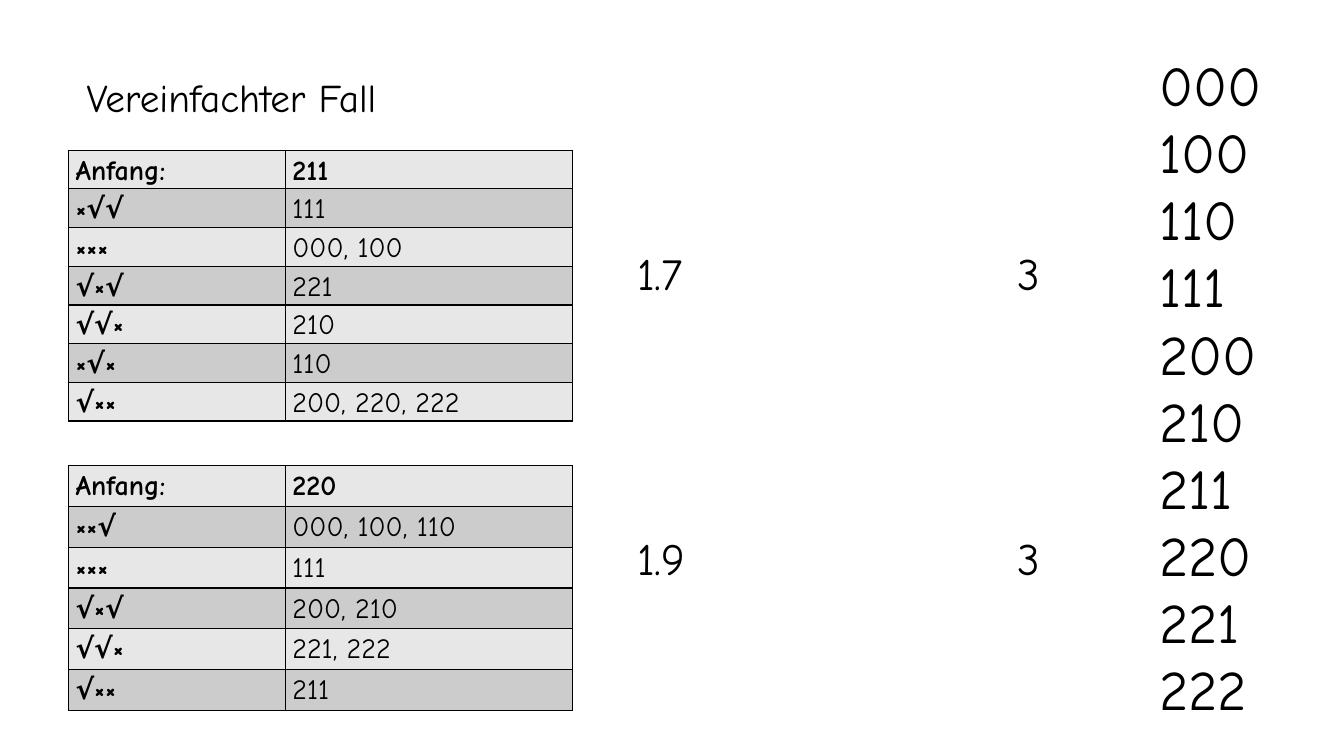
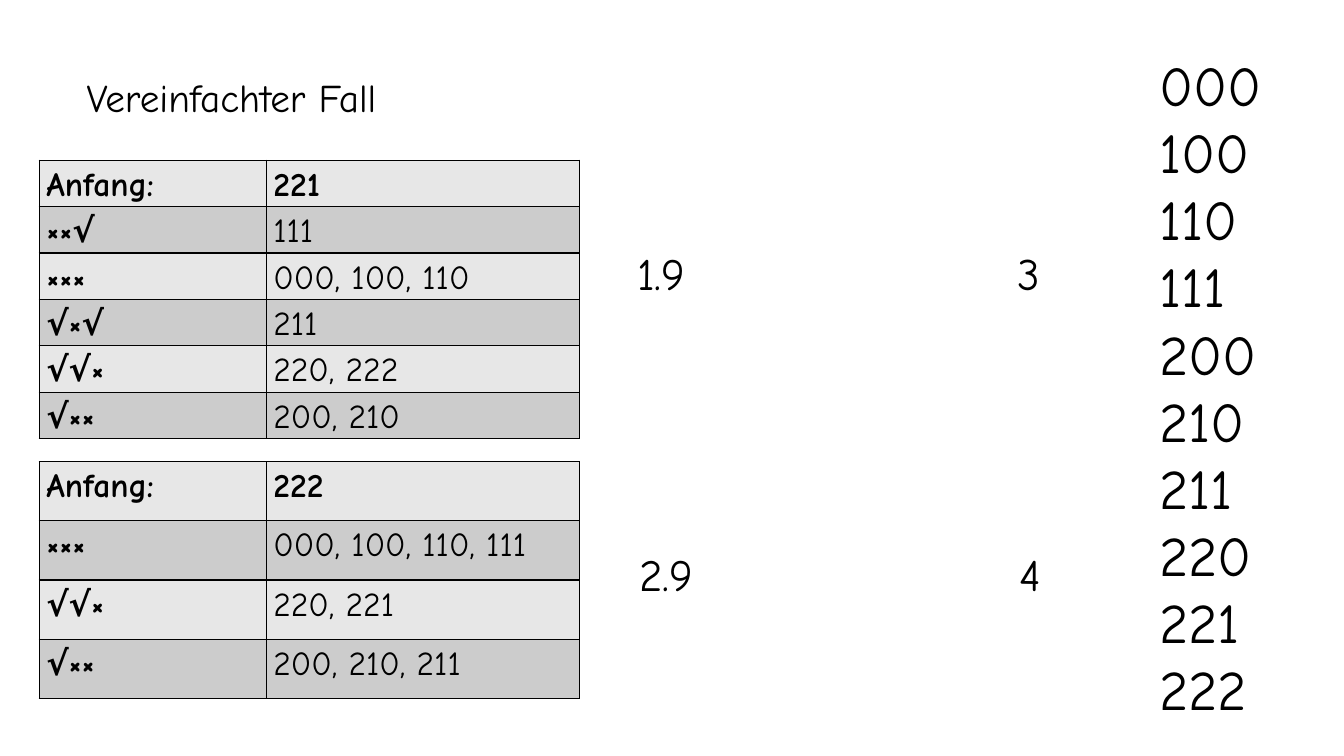
from lxml import etree
from pptx import Presentation
from pptx import util as u
from pptx.dml.color import RGBColor
from pptx.enum import text as t
from pptx.oxml.ns import qn

# Shared style
WIDE, HIGH = 13.33, 7.5
FONT, INK = "Comic Neue", "000000"
BANDS = ("E7E7E7", "CCCCCC")
HEAD = "Vereinfachter Fall"
CODES = ["000", "100", "110", "111", "200", "210", "211", "220", "221", "222"]

# Each case: table box, share of first column, text size, score place, scores, rows
PAGES = [
    [
        ((0.68, 1.49, 5, 2.68), 0.43, 20, (6.22, 2.39), ("1.7", "3"), [
            ("Anfang:", "211"), ("×√√", "111"), ("×××", "000, 100"),
            ("√×√", "221"), ("√√×", "210"), ("×√×", "110"),
            ("√××", "200, 220, 222")]),
        ((0.68, 4.62, 5, 2.43), 0.43, 20, (6.22, 5.22), ("1.9", "3"), [
            ("Anfang:", "220"), ("××√", "000, 100, 110"), ("×××", "111"),
            ("√×√", "200, 210"), ("√√×", "221, 222"), ("√××", "211")]),
    ],
    [
        ((0.39, 1.59, 5.36, 2.76), 0.42, 24, (6.22, 2.39), ("1.9", "3"), [
            ("Anfang:", "221"), ("××√", "111"), ("×××", "000, 100, 110"),
            ("√×√", "211"), ("√√×", "220, 222"), ("√××", "200, 210")]),
        ((0.39, 4.58, 5.36, 2.35), 0.42, 24, (6.24, 5.37), ("2.9", "4"), [
            ("Anfang:", "222"), ("×××", "000, 100, 110, 111"),
            ("√√×", "220, 221"), ("√××", "200, 210, 211")]),
    ],
]


def tint(hue):
    return RGBColor.from_string(hue)


def style(frame, size, bold=False):
    for par in frame.paragraphs:
        par.alignment = t.PP_ALIGN.LEFT
        for run in par.runs:
            font = run.font
            font.name, font.size, font.bold = FONT, u.Pt(size), bold
            font.color.rgb = tint(INK)


def label(slide, box, words, size):
    shape = slide.shapes.add_textbox(*map(u.Inches, box))
    frame = shape.text_frame
    frame.word_wrap = True
    frame.text = words
    style(frame, size)


def title(slide, box):
    shape = slide.shapes.title
    shape.left, shape.top, shape.width, shape.height = map(u.Inches, box)
    frame = shape.text_frame
    frame.text = HEAD
    frame.auto_size = t.MSO_AUTO_SIZE.NONE
    frame.vertical_anchor = t.MSO_ANCHOR.TOP
    style(frame, 28)


def edge(cell):
    props = cell._tc.get_or_add_tcPr()
    for side in ("a:lnL", "a:lnR", "a:lnT", "a:lnB"):
        line = etree.SubElement(props, qn(side), w=str(u.Pt(1)))
        fill = etree.SubElement(line, qn("a:solidFill"))
        etree.SubElement(fill, qn("a:srgbClr"), val=INK)


def fill_cell(cell, words, size, bold, hue):
    edge(cell)
    cell.fill.solid()
    cell.fill.fore_color.rgb = tint(hue)
    cell.margin_left = cell.margin_right = u.Inches(0.07)
    cell.margin_top = cell.margin_bottom = 0
    frame = cell.text_frame
    frame.text = words
    par = frame.paragraphs[0]
    par.line_spacing, par.space_after = 1.15, u.Pt(8)
    style(frame, size, bold)


def grid(slide, box, share, size, rows):
    table = slide.shapes.add_table(len(rows), 2, *map(u.Inches, box)).table
    for col, part in zip(table.columns, (share, 1 - share)):
        col.width = u.Inches(box[2] * part)
    for r, row in enumerate(rows):
        table.rows[r].height = u.Inches(box[3] / len(rows))
        for c, words in enumerate(row):
            # The first row and the first column are bold
            fill_cell(table.cell(r, c), words, size, r == 0 or c == 0,
                      BANDS[r % 2])


def scores(slide, spot, pair):
    left, top = spot
    for shift, wide, words in zip((0, 3.77), (2.27, 0.89), pair):
        label(slide, (left + shift, top, wide, 0.64), words, 32)


def page(deck, cases):
    slide = deck.slides.add_slide(deck.slide_layouts[5])
    title(slide, (0.76, 0.68, 3.47, 0.57))
    # List of all codes on the right
    label(slide, (11.4, 0.45, 1.25, 6.83), "\n".join(CODES), 40)
    # Tables with their scores
    for box, share, size, spot, pair, rows in cases:
        grid(slide, box, share, size, rows)
        scores(slide, spot, pair)


def main():
    deck = Presentation()
    deck.slide_width, deck.slide_height = u.Inches(WIDE), u.Inches(HIGH)
    for cases in PAGES:
        page(deck, cases)
    deck.save("out.pptx")


if __name__ == "__main__":
    main()
